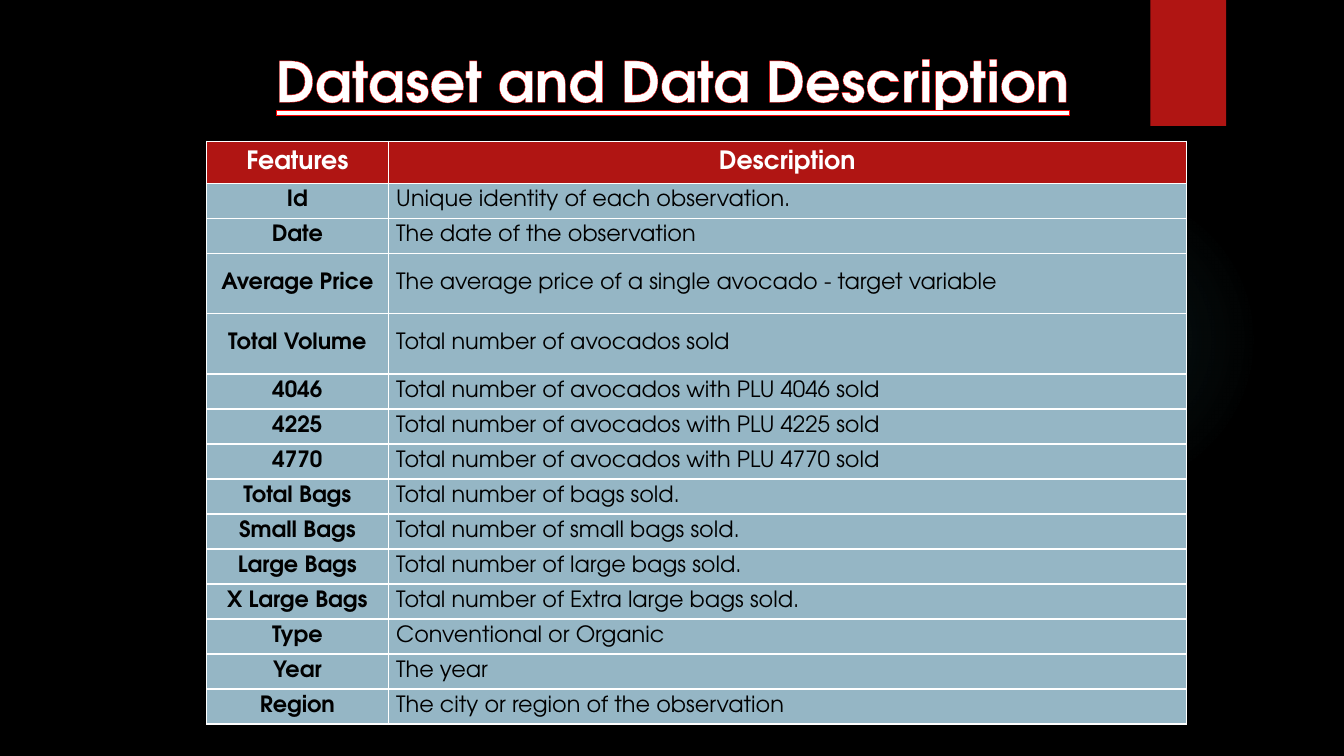
from lxml.etree import SubElement
from pptx import Presentation
from pptx.dml.color import RGBColor
from pptx.enum.shapes import MSO_SHAPE
from pptx.enum.text import MSO_ANCHOR, MSO_AUTO_SIZE, PP_ALIGN
from pptx.oxml import parse_xml
from pptx.oxml.ns import nsdecls, qn
from pptx.util import Inches, Pt

FONT = "TeX Gyre Adventor"
COLORS = {
    "background": "000000",
    "accent": "B01513",
    "glow": "50B9C1",
    "body": "95B6C5",
    "light": "FFFFFF",
    "dark": "000000",
    "outline": "FF0000",
}
WIDTH, HEIGHT = Inches(13.33), Inches(7.5)

# Table content and sizes, in percent of the slide
HEADER = ("Features", "Description")
FEATURES = [
    ("Id", "Unique identity of each observation."),
    ("Date", "The date of the observation"),
    ("Average Price", "The average price of a single avocado - target variable"),
    ("Total Volume", "Total number of avocados sold"),
    *((code, f"Total number of avocados with PLU {code} sold")
      for code in ("4046", "4225", "4770")),
    ("Total Bags", "Total number of bags sold."),
    ("Small Bags", "Total number of small bags sold."),
    ("Large Bags", "Total number of large bags sold."),
    ("X Large Bags", "Total number of Extra large bags sold."),
    ("Type", "Conventional or Organic"),
    ("Year", "The year"),
    ("Region", "The city or region of the observation"),
]
COLUMN_WIDTHS = (13.5, 59.4)
HEADER_HEIGHT, ROW_HEIGHT, TALL_HEIGHT = 5.55, 4.63, 8
TALL_ROWS = ("Average Price", "Total Volume")


def across(percent):
    return round(WIDTH * percent / 100)


def down(percent):
    return round(HEIGHT * percent / 100)


def box(left, top, width, height):
    return across(left), down(top), across(width), down(height)


def rgb(name):
    return RGBColor.from_string(COLORS[name])


def add_plain_shape(slide, kind, frame, color):
    shape = slide.shapes.add_shape(kind, *box(*frame))
    shape.shadow.inherit = False
    shape.line.fill.background()
    shape.fill.solid()
    shape.fill.fore_color.rgb = rgb(color)
    return shape


def add_glow(slide, frame):
    shape = add_plain_shape(slide, MSO_SHAPE.OVAL, frame, "glow")
    stops = "".join(
        f'<a:gs pos="{position * 1000}"><a:srgbClr val="{COLORS["glow"]}">'
        f'<a:alpha val="{opacity * 1000}"/></a:srgbClr></a:gs>'
        for position, opacity in ((0, 7), (36, 6), (69, 0), (100, 0)))
    gradient = parse_xml(
        f'<a:gradFill {nsdecls("a")}><a:gsLst>{stops}</a:gsLst><a:path path="circle">'
        '<a:fillToRect l="50000" t="50000" r="50000" b="50000"/></a:path></a:gradFill>')
    properties = shape.fill._xPr
    properties.replace(properties.find(qn("a:solidFill")), gradient)


def write(text_frame, text, size, color, bold=True, align=PP_ALIGN.CENTER):
    text_frame.text = text
    paragraph = text_frame.paragraphs[0]
    paragraph.alignment = align
    run = paragraph.runs[0]
    run.font.name = FONT
    run.font.size = Pt(size)
    run.font.bold = bold
    run.font.color.rgb = rgb(color)
    return run


def add_title(slide, text, frame):
    text_frame = slide.shapes.add_textbox(*box(*frame)).text_frame
    text_frame.word_wrap = True
    text_frame.auto_size = MSO_AUTO_SIZE.SHAPE_TO_FIT_TEXT
    run = write(text_frame, text, 40, "light")
    run.font.underline = True
    outline = parse_xml(
        f'<a:ln {nsdecls("a")} w="{Pt(0.75)}"><a:solidFill>'
        f'<a:srgbClr val="{COLORS["outline"]}"/></a:solidFill></a:ln>')
    run.font._element.insert(0, outline)


def add_borders(cell, color, width):
    properties = cell._tc.get_or_add_tcPr()
    for index, side in enumerate(("lnL", "lnR", "lnT", "lnB")):
        line = SubElement(properties, qn(f"a:{side}"), w=str(Pt(width)))
        fill = SubElement(line, qn("a:solidFill"))
        SubElement(fill, qn("a:srgbClr"), val=COLORS[color])
        properties.insert(index, line)


def style_cell(cell, fill):
    cell.fill.solid()
    cell.fill.fore_color.rgb = rgb(fill)
    cell.vertical_anchor = MSO_ANCHOR.MIDDLE
    cell.margin_left = cell.margin_right = across(0.6)
    cell.margin_top = cell.margin_bottom = down(0.53)
    add_borders(cell, "light", 1)


def add_feature_table(slide, left, top):
    heights = [HEADER_HEIGHT] + [
        TALL_HEIGHT if feature in TALL_ROWS else ROW_HEIGHT for feature, _ in FEATURES]
    frame = box(left, top, sum(COLUMN_WIDTHS), sum(heights))
    table = slide.shapes.add_table(len(heights), len(COLUMN_WIDTHS), *frame).table
    for column, width in zip(table.columns, COLUMN_WIDTHS):
        column.width = across(width)
    for row, height, texts in zip(table.rows, heights, [HEADER, *FEATURES]):
        row.height = down(height)
        is_header = texts is HEADER
        for index, (cell, text) in enumerate(zip(row.cells, texts)):
            style_cell(cell, "accent" if is_header else "body")
            if is_header:
                write(cell.text_frame, text, 18, "light")
            elif index == 0:
                write(cell.text_frame, text, 16, "dark")
            else:
                write(cell.text_frame, text, 16, "dark", False, PP_ALIGN.LEFT)


def main():
    presentation = Presentation()
    presentation.slide_width, presentation.slide_height = WIDTH, HEIGHT
    slide = presentation.slides.add_slide(presentation.slide_layouts[6])
    slide.background.fill.solid()
    slide.background.fill.fore_color.rgb = rgb("background")

    # Backdrop
    add_glow(slide, (70.59, 24.4, 23.1, 41.07))
    add_plain_shape(slide, MSO_SHAPE.RECTANGLE, (85.6, 0, 5.63, 16.67), "accent")

    # Content
    add_title(slide, "Dataset and Data Description", (9.3, 5.47, 81.47, 10.27))
    add_feature_table(slide, 15.38, 18.67)

    presentation.save("out.pptx")


if __name__ == "__main__":
    main()
